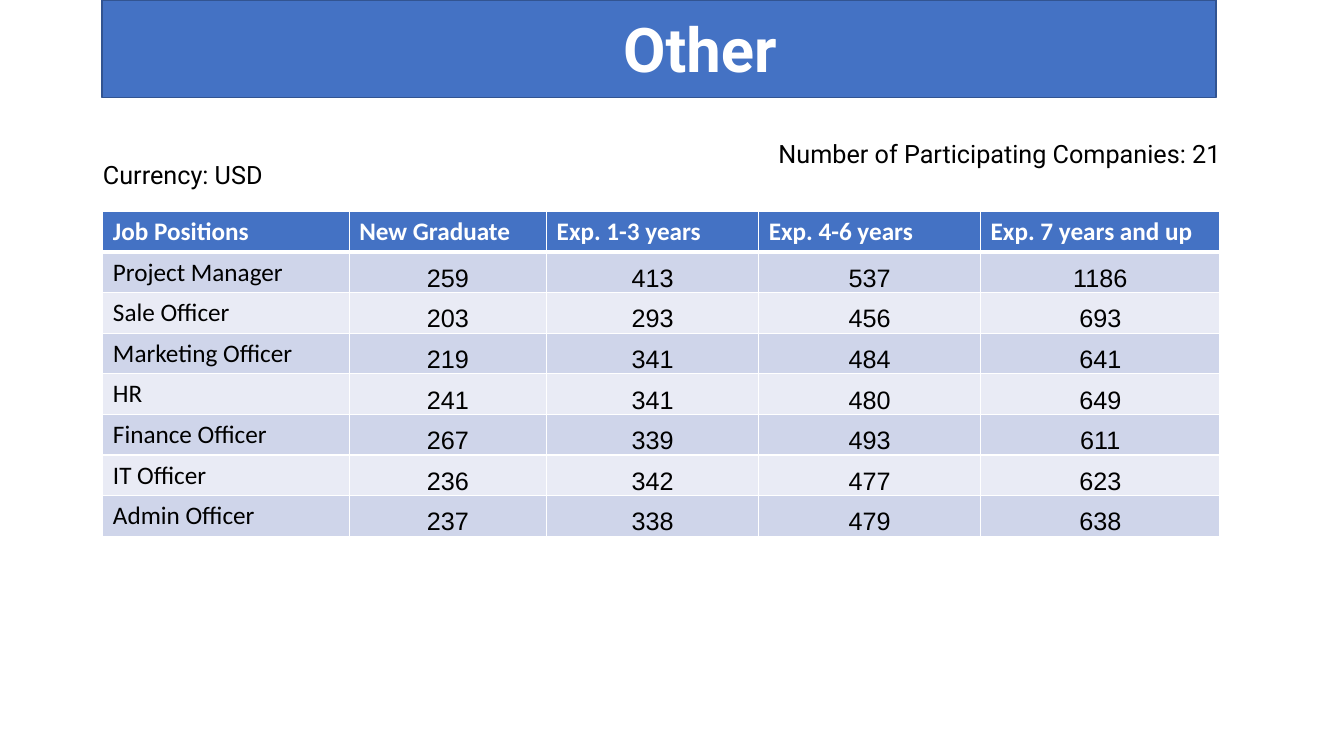
import pptx
import pptx.util
import pptx.dml.color
import pptx.enum.shapes
import pptx.enum.text
import pptx.oxml
import pptx.oxml.ns

ALIGN = pptx.enum.text.PP_ALIGN
ANCHOR = pptx.enum.text.MSO_ANCHOR
AUTO_SIZE = pptx.enum.text.MSO_AUTO_SIZE

# Theme: colours, type sizes and fonts
THEME = {
    "blue": "4472C4", "outline": "325491", "white": "FFFFFF", "black": "000000",
    "bands": ["CFD5EA", "E9EBF5"],
    "title": 44, "body": 18,
    "heading_font": "Roboto", "label_font": "Calibri", "number_font": "Arial",
}


def px(length):
    """Turn px (144 to the inch) into EMU."""
    return pptx.util.Emu(length * 6350)


def write(frame, text, font, size=THEME["body"], color=THEME["black"],
          bold=False, align=ALIGN.LEFT, anchor=ANCHOR.TOP):
    frame.vertical_anchor = anchor
    paragraph = frame.paragraphs[0]
    paragraph.alignment = align
    run = paragraph.add_run()
    run.text = text
    run.font.name = font
    run.font.size = pptx.util.Pt(size)
    run.font.bold = bold
    run.font.color.rgb = pptx.dml.color.RGBColor.from_string(color)


deck = pptx.Presentation()
deck.slide_width, deck.slide_height = px(1920), px(1080)
slide = deck.slides.add_slide(deck.slide_layouts[5])

# Title on its blue bar
bar = slide.shapes.add_shape(pptx.enum.shapes.MSO_SHAPE.RECTANGLE,
                             px(146), px(0), px(1591), px(139))
bar.shadow.inherit = False
bar.fill.solid()
bar.fill.fore_color.rgb = pptx.dml.color.RGBColor.from_string(THEME["blue"])
bar.line.color.rgb = pptx.dml.color.RGBColor.from_string(THEME["outline"])
bar.line.width = pptx.util.Pt(1)

title = slide.shapes.title
title._element.addprevious(bar._element)
title.left, title.top, title.width, title.height = px(720), px(8), px(560), px(121)
title.text_frame.word_wrap = False
title.text_frame.auto_size = AUTO_SIZE.SHAPE_TO_FIT_TEXT
write(title.text_frame, "Other", THEME["heading_font"], size=THEME["title"],
      color=THEME["white"], bold=True, align=ALIGN.CENTER)

# Salary table
salaries = [
    ["Job Positions", "New Graduate", "Exp. 1-3 years", "Exp. 4-6 years", "Exp. 7 years and up"],
    ["Project Manager", 259, 413, 537, 1186],
    ["Sale Officer", 203, 293, 456, 693],
    ["Marketing Officer", 219, 341, 484, 641],
    ["HR", 241, 341, 480, 649],
    ["Finance Officer", 267, 339, 493, 611],
    ["IT Officer", 236, 342, 477, 623],
    ["Admin Officer", 237, 338, 479, 638],
]
column_widths = [352, 282, 303, 317, 342]
row_height = 58
salary_table = slide.shapes.add_table(
    len(salaries), len(column_widths), px(147), px(302),
    px(sum(column_widths)), px(row_height * len(salaries))).table
for column, width in zip(salary_table.columns, column_widths):
    column.width = px(width)

for r, entries in enumerate(salaries):
    salary_table.rows[r].height = px(row_height)
    for c, entry in enumerate(entries):
        cell = salary_table.cell(r, c)
        is_header = r == 0
        if is_header:
            write(cell.text_frame, entry, THEME["label_font"],
                  color=THEME["white"], bold=True)
        elif c == 0:
            write(cell.text_frame, entry, THEME["label_font"])
        else:
            cell.margin_left = cell.margin_right = cell.margin_top = px(1)
            cell.margin_bottom = 0
            write(cell.text_frame, str(entry), THEME["number_font"], align=ALIGN.CENTER)
            cell.vertical_anchor = ANCHOR.BOTTOM

        # White rules, thicker around the header's lower edge
        rules = {"L": 1, "R": 1, "T": 3 if r == 1 else 1, "B": 3 if is_header else 1}
        for side, points in rules.items():
            cell._tc.get_or_add_tcPr().append(pptx.oxml.parse_xml(
                f'<a:ln{side} {pptx.oxml.ns.nsdecls("a")} w="{pptx.util.Pt(points)}">'
                f'<a:solidFill><a:srgbClr val="{THEME["white"]}"/></a:solidFill></a:ln{side}>'))
        cell.fill.solid()
        cell.fill.fore_color.rgb = pptx.dml.color.RGBColor.from_string(
            THEME["blue"] if is_header else THEME["bands"][(r - 1) % 2])

# Notes above the table
for note, left, top, width in [("Currency: USD", 133, 220, 259),
                               ("Number of Participating Companies: 21", 1098, 191, 665)]:
    box = slide.shapes.add_textbox(px(left), px(top), px(width), px(58))
    box.text_frame.word_wrap = False
    box.text_frame.auto_size = AUTO_SIZE.SHAPE_TO_FIT_TEXT
    write(box.text_frame, note, THEME["heading_font"])

deck.save("out.pptx")
